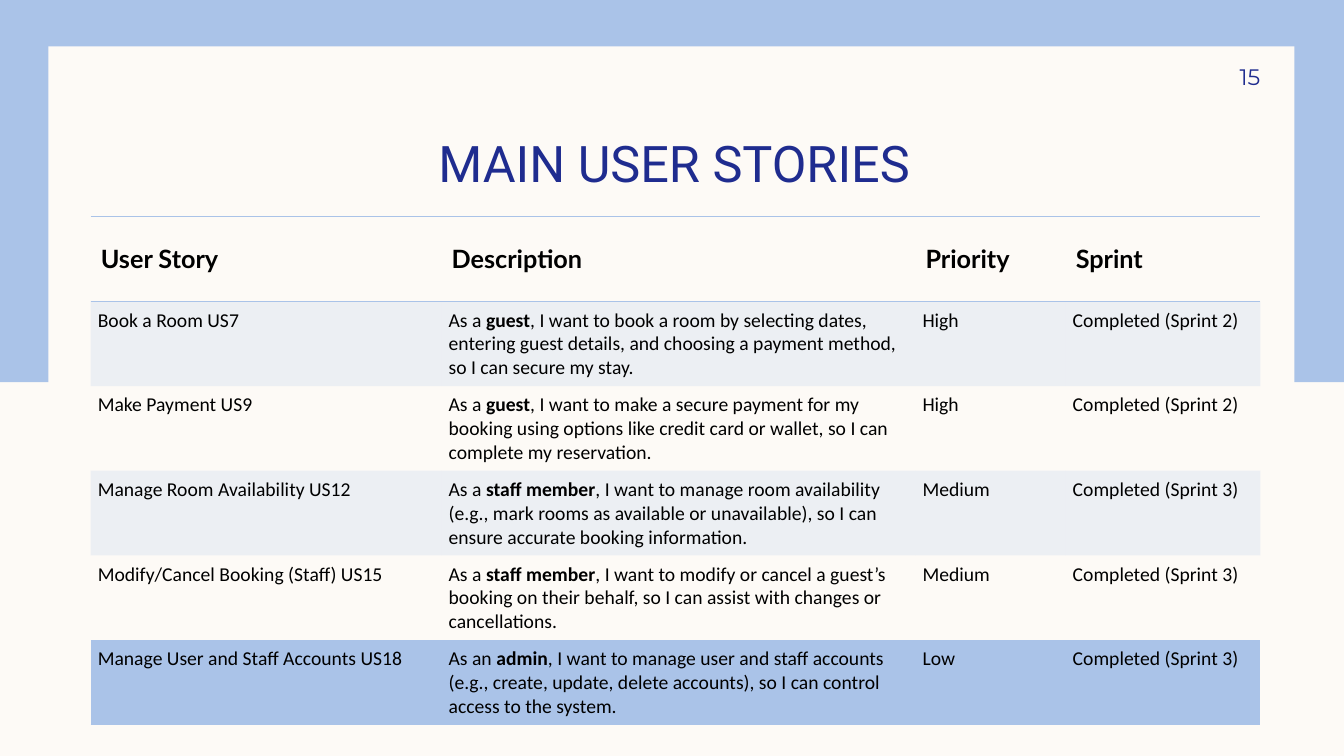
"""Build the "Main user stories" slide with its table of stories."""
from dataclasses import dataclass

from lxml import etree
from pptx import Presentation
from pptx import util as u
from pptx.dml.color import RGBColor
from pptx.enum import shapes, text
from pptx.oxml import ns

COLORS = {"cream": "FDFAF6", "sky": "AAC3E8", "navy": "1F2C8F", "black": "000000"}
NO_STYLE = "{2D5ABB26-0587-4C30-8999-92F81FD0307C}"
HEADERS = ["User Story", "Description", "Priority", "Sprint"]
COL_WIDTHS = [3.48, 4.7, 1.49, 1.93]
HEADER_HEIGHT, STORY_HEIGHT = 0.84, 0.72


@dataclass
class Panel:
    left: float
    top: float
    width: float
    height: float
    color: str


@dataclass
class Story:
    name: str
    article: str
    role: str
    wish: str
    priority: str
    sprint: int


PANELS = [
    Panel(-0.03, 0, 13.36, 3.79, "sky"),
    Panel(0.48, 0.46, 12.36, 6.59, "cream"),
]
STORIES = [
    Story("Book a Room US7", "a", "guest",
          "book a room by selecting dates, entering guest details, and choosing "
          "a payment method, so I can secure my stay.", "High", 2),
    Story("Make Payment US9", "a", "guest",
          "make a secure payment for my booking using options like credit card "
          "or wallet, so I can complete my reservation.", "High", 2),
    Story("Manage Room Availability US12", "a", "staff member",
          "manage room availability (e.g., mark rooms as available or "
          "unavailable), so I can ensure accurate booking information.", "Medium", 3),
    Story("Modify/Cancel Booking (Staff) US15", "a", "staff member",
          "modify or cancel a guest’s booking on their behalf, so I can assist "
          "with changes or cancellations.", "Medium", 3),
    Story("Manage User and Staff Accounts US18", "an", "admin",
          "manage user and staff accounts (e.g., create, update, delete "
          "accounts), so I can control access to the system.", "Low", 3),
]


def rgb(name: str) -> RGBColor:
    return RGBColor.from_string(COLORS[name])


def add_run(p, content: str, *, font: str, size: float, color: str = "black",
            bold: bool = False) -> None:
    r = p.add_run()
    r.text = content
    r.font.name, r.font.size, r.font.bold = font, u.Pt(size), bold
    r.font.color.rgb = rgb(color)


def add_panel(s, panel: Panel) -> None:
    sp = s.shapes.add_shape(
        shapes.MSO_SHAPE.RECTANGLE, u.Inches(panel.left), u.Inches(panel.top),
        u.Inches(panel.width), u.Inches(panel.height))
    sp.shadow.inherit = False
    sp.fill.solid()
    sp.fill.fore_color.rgb = rgb(panel.color)
    sp.line.fill.background()


def add_label(s, content: str, box: tuple, insets: tuple, anchor, align,
              **style) -> None:
    tf = s.shapes.add_textbox(*map(u.Inches, box)).text_frame
    tf.word_wrap, tf.vertical_anchor = True, anchor
    tf.margin_left, tf.margin_top, tf.margin_right, tf.margin_bottom = map(u.Inches, insets)
    tf.paragraphs[0].alignment = align
    add_run(tf.paragraphs[0], content, **style)


def add_borders(cell, tags: list[str]) -> None:
    tc_pr = cell._tc.get_or_add_tcPr()
    for tag in tags:
        ln = etree.SubElement(tc_pr, ns.qn(f"a:{tag}"), w=str(u.Pt(1)))
        fill = etree.SubElement(ln, ns.qn("a:solidFill"))
        etree.SubElement(fill, ns.qn("a:srgbClr"), val=COLORS["sky"])


def fill_cell(cell, shaded: bool) -> None:
    if not shaded:
        cell.fill.background()
        return
    cell.fill.solid()
    cell.fill.fore_color.rgb = rgb("sky")
    clr = cell._tc.tcPr.find(".//" + ns.qn("a:srgbClr"))
    etree.SubElement(clr, ns.qn("a:alpha"), val="20000")


def write_header(cell, title: str) -> None:
    cell.vertical_anchor = text.MSO_ANCHOR.MIDDLE
    add_borders(cell, ["lnT", "lnB"])
    fill_cell(cell, False)
    add_run(cell.text_frame.paragraphs[0], title, font="Lato", size=18, bold=True)


def write_story(cells: list, story: Story, shaded: bool, last: bool) -> None:
    contents = [
        [story.name],
        [f"As {story.article} ", story.role, f", I want to {story.wish}"],
        [story.priority],
        [f"Completed (Sprint {story.sprint})"],
    ]
    for cell, parts in zip(cells, contents):
        cell.margin_left = cell.margin_right = u.Inches(0.07)
        cell.margin_top = cell.margin_bottom = u.Inches(0.07)
        add_borders(cell, ["lnB"] if last else [])
        fill_cell(cell, shaded)
        for i, part in enumerate(parts):
            add_run(cell.text_frame.paragraphs[0], part, font="Calibri", size=14,
                    bold=i == 1)


def add_story_table(s) -> None:
    frame = s.shapes.add_table(
        len(STORIES) + 1, len(HEADERS), u.Inches(0.9), u.Inches(2.15),
        u.Inches(sum(COL_WIDTHS)), u.Inches(5.03))
    table = frame.table
    table._tbl.tblPr.find(ns.qn("a:tableStyleId")).text = NO_STYLE
    for column, width in zip(table.columns, COL_WIDTHS):
        column.width = u.Inches(width)
    for i, row in enumerate(table.rows):
        row.height = u.Inches(STORY_HEIGHT if i else HEADER_HEIGHT)
    frame.height = u.Inches(5.03)
    for cell, title in zip(table.rows[0].cells, HEADERS):
        write_header(cell, title)
    for i, story in enumerate(STORIES, start=1):
        write_story(list(table.rows[i].cells), story, i % 2 == 1, i == len(STORIES))


def main() -> None:
    prs = Presentation()
    prs.slide_width, prs.slide_height = u.Inches(13.33), u.Inches(7.5)
    s = prs.slides.add_slide(prs.slide_layouts[6])
    s.background.fill.solid()
    s.background.fill.fore_color.rgb = rgb("cream")
    for panel in PANELS:
        add_panel(s, panel)
    add_label(s, "MAIN USER STORIES ", (1, 1.16, 11.5, 0.75), (0.1, 0, 0.1, 0),
              text.MSO_ANCHOR.BOTTOM, text.PP_ALIGN.CENTER,
              font="Roboto", size=36, color="navy")
    add_story_table(s)
    add_label(s, "15", (11.33, 0.5, 1.17, 0.52), (0.1, 0.05, 0, 0.05),
              text.MSO_ANCHOR.MIDDLE, text.PP_ALIGN.RIGHT,
              font="Montserrat", size=16, color="navy")
    prs.save("out.pptx")


if __name__ == "__main__":
    main()
